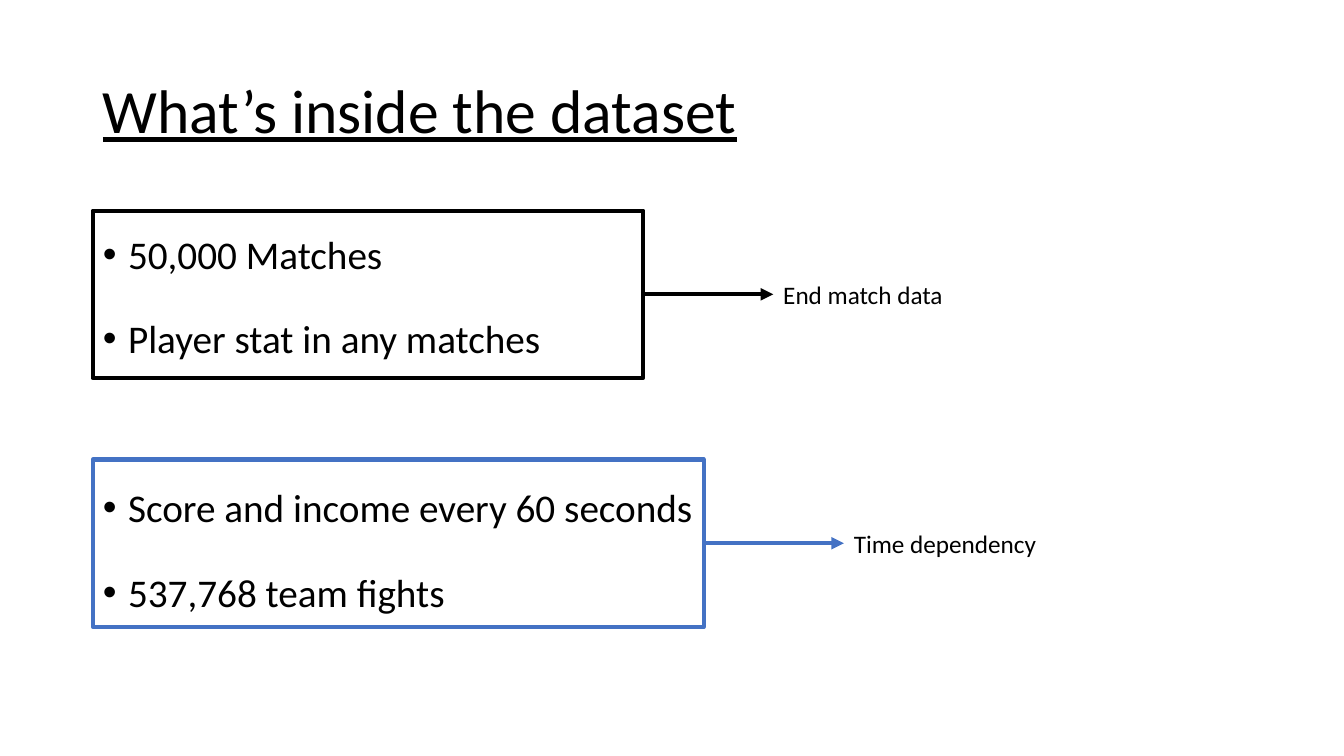
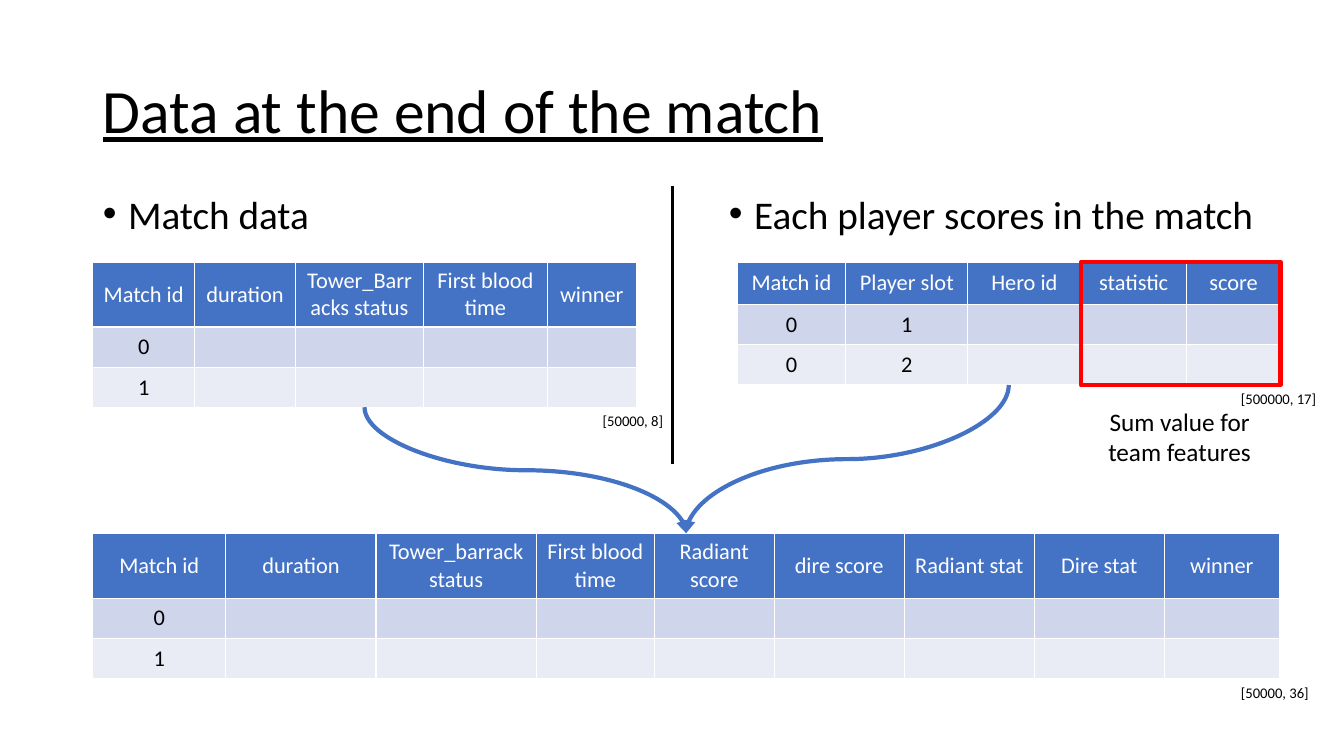
from pptx import Presentation
from pptx.dml.color import RGBColor
from pptx.enum.shapes import MSO_CONNECTOR, MSO_SHAPE
from pptx.enum.text import MSO_ANCHOR, MSO_AUTO_SIZE, PP_ALIGN
from pptx.oxml.ns import qn
from pptx.util import Inches, Pt
from lxml import etree

# Shared look
FONT, BLACK, WHITE, BLUE, RED = "Calibri", "000000", "FFFFFF", "4472C4", "FF0000"
BANDS = ("CFD5EA", "E9EBF5")
LEFT, ROW = 0.92, 0.4

# Slide 1: list items, then boxes as (top, width, colour, label, label left, label width)
FACTS = ["50,000 Matches", "Player stat in any matches",
         "Score and income every 60 seconds", "537,768 team fights"]
GROUPS = [(2.09, 5.46, BLACK, "End match data", 7.67, 1.8),
          (4.56, 6.06, BLUE, "Time dependency", 8.37, 2.33)]
BOX_H, LABEL_H = 1.66, 0.4

# Slide 2: tables with their column widths, and their sizes as notes
MATCH = dict(
    left=LEFT, top=2.6, head=0.64, cols=[1.01, 1, 1.27, 1.23, 0.88],
    rows=[["Match id", "duration", "Tower_Barracks status", "First blood time", "winner"],
          ["0"], ["1"]])
PLAYER = dict(
    left=7.31, top=2.6, head=0.42, cols=[1.08, 1.21, 1.12, 1.05, 0.93],
    rows=[["Match id", "Player slot", "Hero id", "statistic", "score"],
          ["0", "1"], ["0", "2"]])
MERGED = dict(
    left=LEFT, top=5.29, head=0.64,
    cols=[1.32, 1.49, 1.59, 1.17, 1.19, 1.29, 1.29, 1.29, 1.14],
    rows=[["Match id", "duration", "Tower_barrack status", "First blood time",
           "Radiant score", "dire score", "Radiant stat", "Dire stat", "winner"],
          ["0"], ["1"]])
NOTES = [("[50000, 8]", 5.88, MATCH), ("[500000, 17]", 12.21, PLAYER),
         ("[50000, 36]", 12.21, MERGED)]
HEADS = [("Match data", LEFT), ("Each player scores in the match", 7.13)]


def rgb(code):
    return RGBColor.from_string(code)


def place(shape, *box):
    shape.left, shape.top, shape.width, shape.height = map(Inches, box)


def style(para, size, color=BLACK):
    font = para.font
    font.name, font.size, font.color.rgb = FONT, Pt(size), rgb(color)
    return font


def add_title(slide, text):
    title = slide.shapes.title
    place(title, LEFT, 0.4, 11.5, 1.45)
    title.text = text
    frame = title.text_frame
    frame.vertical_anchor = MSO_ANCHOR.MIDDLE
    para = frame.paragraphs[0]
    para.alignment, para.line_spacing = PP_ALIGN.LEFT, 0.9
    style(para, 44).underline = True


def add_list(holder, items, *box):
    place(holder, *box)
    frame = holder.text_frame
    frame.text = "\n".join(items)
    frame.auto_size = MSO_AUTO_SIZE.NONE
    for para in frame.paragraphs:
        para.line_spacing, para.space_before = 1.5, Pt(10)
        style(para, 28)
        props = para._p.get_or_add_pPr()
        props.set("marL", str(Inches(0.25)))
        props.set("indent", str(Inches(-0.25)))
    return frame.paragraphs


def add_text(slide, text, size, *box, align=PP_ALIGN.LEFT):
    shape = slide.shapes.add_textbox(*map(Inches, box))
    shape.text_frame.word_wrap = True
    para = shape.text_frame.paragraphs[0]
    para.text, para.alignment = text, align
    style(para, size)
    return shape


def add_box(slide, color, *box):
    shape = slide.shapes.add_shape(MSO_SHAPE.RECTANGLE, *map(Inches, box))
    shape.shadow.inherit = False
    shape.fill.background()
    shape.line.color.rgb, shape.line.width = rgb(color), Pt(3)
    return shape


def add_line(slide, start, end, color, width=3, arrow=True, kind=MSO_CONNECTOR.STRAIGHT):
    line = slide.shapes.add_connector(kind, *map(Inches, (*start, *end)))
    line.line.color.rgb, line.line.width = rgb(color), Pt(width)
    props = line._element.spPr
    if arrow:
        etree.SubElement(props.find(qn("a:ln")), qn("a:tailEnd"), type="triangle")
    etree.SubElement(props, qn("a:effectLst"))
    return line


def add_curve(slide, start, end):
    # Leaves and arrives vertically: a horizontal curve turned a quarter
    (x1, y1), (x2, y2) = start, end
    midx, midy = (x1 + x2) / 2, (y1 + y2) / 2
    halfw, halfh = (y2 - y1) / 2, abs(x2 - x1) / 2
    side, turn = (1, 270) if x2 > x1 else (-1, 90)
    line = add_line(slide, (midx + side * halfw, midy - halfh),
                    (midx - side * halfw, midy + halfh), BLUE, kind=MSO_CONNECTOR.CURVE)
    line._element.spPr.find(qn("a:xfrm")).set("rot", str(turn * 60000))


def span(data):
    return sum(data["cols"])


def tall(data):
    return data["head"] + ROW * (len(data["rows"]) - 1)


def base(data):
    return data["left"] + span(data) / 2, data["top"] + tall(data)


def add_grid(slide, data):
    rows, cols = data["rows"], data["cols"]
    box = data["left"], data["top"], span(data), tall(data)
    table = slide.shapes.add_table(len(rows), len(cols), *map(Inches, box)).table
    for col, width in zip(table.columns, cols):
        col.width = Inches(width)
    for r, texts in enumerate(rows):
        table.rows[r].height = Inches(ROW if r else data["head"])
        for c, cell in enumerate(table.rows[r].cells):
            cell.fill.solid()
            cell.fill.fore_color.rgb = rgb(BANDS[r - 1] if r else BLUE)
            cell.vertical_anchor = MSO_ANCHOR.MIDDLE
            para = cell.text_frame.paragraphs[0]
            para.text = texts[c] if c < len(texts) else ""
            para.alignment = PP_ALIGN.CENTER
            style(para, 16, BLACK if r else WHITE).bold = False


def build_facts(deck):
    slide = deck.slides.add_slide(deck.slide_layouts[1])
    add_title(slide, "What’s inside the dataset")
    paras = add_list(slide.placeholders[1], FACTS, LEFT, 2, 11.5, 4.76)
    paras[2].space_before = Pt(70)
    for top, width, color, text, left, wide in GROUPS:
        mid = top + BOX_H / 2
        box = add_box(slide, color, LEFT, top, width, BOX_H)
        label = add_text(slide, text, 18, left, mid - LABEL_H / 2, wide, LABEL_H)
        arrow = add_line(slide, (LEFT + width, mid), (left, mid), color)
        arrow.begin_connect(box, 3)
        arrow.end_connect(label, 1)


def build_tables(deck):
    slide = deck.slides.add_slide(deck.slide_layouts[3])
    add_title(slide, "Data at the end of the match")
    for spot, (text, left) in enumerate(HEADS, 1):
        add_list(slide.placeholders[spot], [text], left, 1.6, 5.75, 0.9)
    add_line(slide, (6.67, 1.85), (6.67, 4.6), BLACK, 1.5, arrow=False)
    for data in (MATCH, PLAYER, MERGED):
        add_grid(slide, data)

    # Frame around the summed columns
    wide = sum(PLAYER["cols"][3:])
    add_box(slide, RED, PLAYER["left"] + span(PLAYER) - wide, PLAYER["top"],
            wide, tall(PLAYER))
    add_text(slide, "Sum value for team features", 18, 10.83, 3.98, 1.74, 0.71,
             align=PP_ALIGN.CENTER)

    # Both tables flow into the merged one
    goal = base(MERGED)[0], MERGED["top"]
    for data in (MATCH, PLAYER):
        add_curve(slide, base(data), goal)
    for text, left, data in NOTES:
        add_text(slide, text, 10.5, left, base(data)[1], 1, 0.28)


def main():
    deck = Presentation()
    deck.slide_width, deck.slide_height = Inches(13.33), Inches(7.5)
    build_facts(deck)
    build_tables(deck)
    deck.save("out.pptx")


if __name__ == "__main__":
    main()
